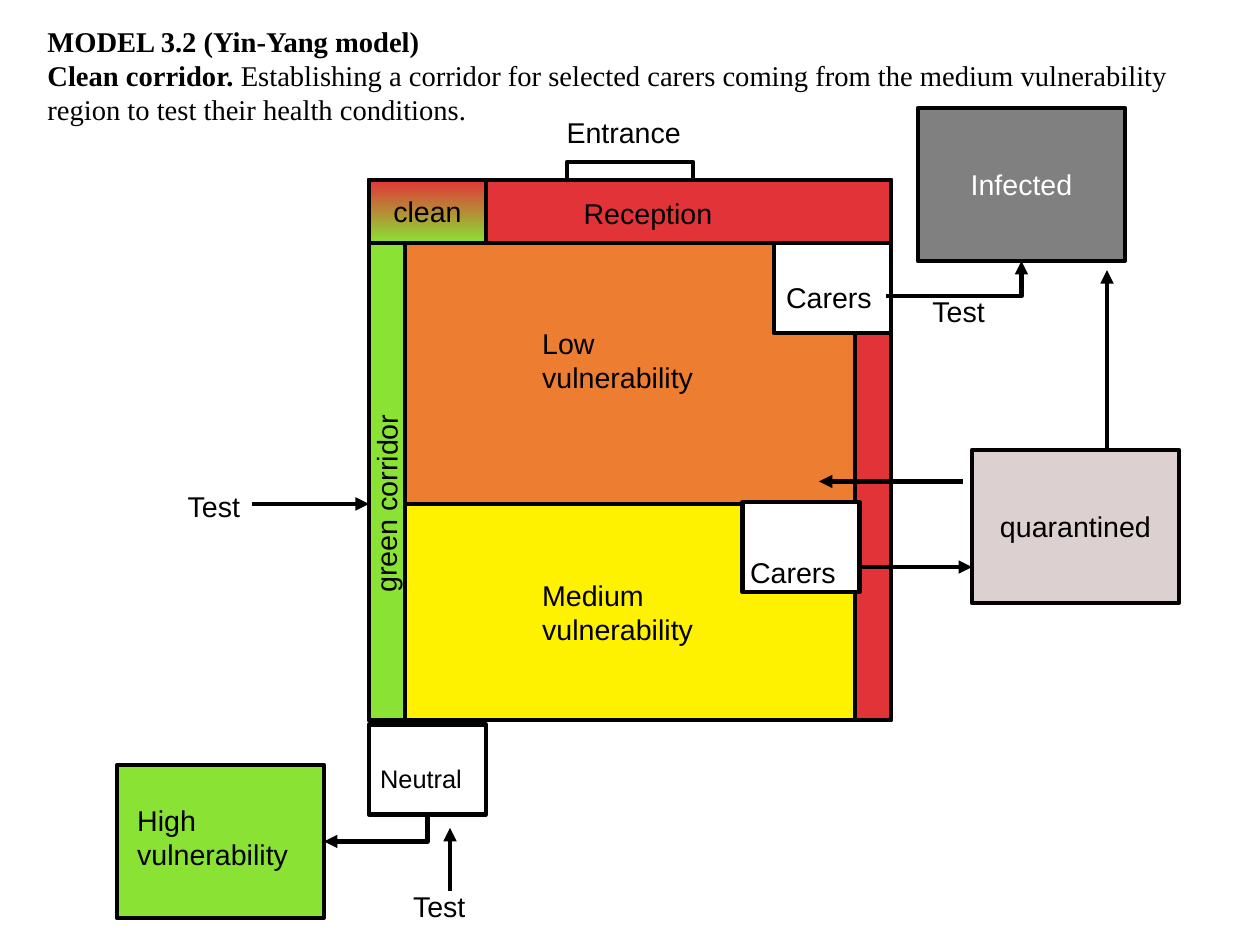
from lxml import etree
from pptx import Presentation
from pptx.dml.color import RGBColor
from pptx.enum.shapes import MSO_CONNECTOR, MSO_SHAPE
from pptx.enum.text import MSO_ANCHOR, MSO_AUTO_SIZE, PP_ALIGN
from pptx.oxml.ns import qn
from pptx.util import Cm, Pt

RECT = MSO_SHAPE.RECTANGLE
STRAIGHT, ELBOW = MSO_CONNECTOR.STRAIGHT, MSO_CONNECTOR.ELBOW
LEFT, CENTER = PP_ALIGN.LEFT, PP_ALIGN.CENTER
TOP, MIDDLE = MSO_ANCHOR.TOP, MSO_ANCHOR.MIDDLE
FIXED, GROW = MSO_AUTO_SIZE.NONE, MSO_AUTO_SIZE.SHAPE_TO_FIT_TEXT

COLORS = {
    "text": "000000", "outline": "020202", "white": "FFFFFF",
    "yellow": "FFF200", "red": "E23438", "green": "8AE234",
    "orange": "ED7D31", "grey": "808080", "pale": "DDD0D0",
}
BUILDING_X, BUILDING_Y, BUILDING_W = 8.2, 4, 11.6
INNER_Y = 5.4
ROOM = (2.6, 2)
ZONE = (4.6, 3.4)
TEST_W, CARERS_W = 1.7, 2.6


def rgb(name):
    return RGBColor.from_string(COLORS[name])


class Diagram:
    """Style of the floor plan and the slide it is drawn on."""
    font, title_font = "Arial", "Times New Roman"
    size, line_width = 18, Pt(2.83)

    def __init__(self, slide):
        self.slide = slide

    def format_run(self, run, font=None, size=None, color="text", bold=False):
        run.font.name = font or self.font
        run.font.size = Pt(size or self.size)
        run.font.color.rgb = rgb(color)
        run.font.bold = bold

    def title(self, heading, lead, body, x, y, w, h):
        title = self.slide.shapes.title
        title.left, title.top, title.width, title.height = map(Cm, (x, y, w, h))
        frame = title.text_frame
        frame.text = heading + "\n" + lead
        frame.paragraphs[1].add_run().text = body
        frame.word_wrap = True
        frame.auto_size = FIXED
        frame.vertical_anchor = TOP
        for paragraph in frame.paragraphs:
            paragraph.alignment = LEFT
            for run in paragraph.runs:
                self.format_run(run, self.title_font, bold=run.text != body)

    def box(self, x, y, w, h, fill=None, text=None, color="text"):
        box = self.slide.shapes.add_shape(RECT, Cm(x), Cm(y), Cm(w), Cm(h))
        box.shadow.inherit = False
        box.line.color.rgb = rgb("outline")
        box.line.width = self.line_width
        if fill is None:
            box.fill.background()
        elif isinstance(fill, tuple):
            box.fill.gradient()
            box.fill.gradient_angle = 90
            for stop, name in zip(box.fill.gradient_stops, fill):
                stop.color.rgb = rgb(name)
        else:
            box.fill.solid()
            box.fill.fore_color.rgb = rgb(fill)
        if text:
            frame = box.text_frame
            frame.text = text
            frame.word_wrap = False
            frame.vertical_anchor = MIDDLE
            frame.paragraphs[0].alignment = CENTER
            self.format_run(frame.paragraphs[0].runs[0], color=color)

    def label(self, text, x, y, w, h=0.97, wrap=False, size=None, rotation=0):
        label = self.slide.shapes.add_textbox(Cm(x), Cm(y), Cm(w), Cm(h))
        label.rotation = rotation
        frame = label.text_frame
        frame.text = text
        frame.word_wrap = wrap
        frame.auto_size = GROW
        for paragraph in frame.paragraphs:
            self.format_run(paragraph.runs[0], size=size)

    def arrow(self, x1, y1, x2, y2, kind=STRAIGHT):
        arrow = self.slide.shapes.add_connector(kind, Cm(x1), Cm(y1), Cm(x2), Cm(y2))
        arrow.line.color.rgb = rgb("text")
        arrow.line.width = self.line_width
        properties = arrow.element.spPr
        line = properties.find(qn("a:ln"))
        etree.SubElement(line, qn("a:tailEnd"), type="triangle")
        etree.SubElement(properties, qn("a:effectLst"))
        return properties

    def elbow(self, x1, y1, x2, y2, down_first=False):
        """One-bend arrow; down_first turns it by a quarter around its centre."""
        if down_first:
            cx, cy = (x1 + x2) / 2, (y1 + y2) / 2
            half_w, half_h = (y2 - y1) / 2, (x1 - x2) / 2
            x1, y1, x2, y2 = cx - half_w, cy - half_h, cx + half_w, cy + half_h
        properties = self.arrow(x1, y1, x2, y2, ELBOW)
        properties.find(qn("a:prstGeom")).set("prst", "bentConnector2")
        if down_first:
            properties.find(qn("a:xfrm")).set("rot", "5400000")


def main():
    prs = Presentation()
    prs.slide_width, prs.slide_height = Cm(28), Cm(21)
    plan = Diagram(prs.slides.add_slide(prs.slide_layouts[5]))

    plan.title("MODEL 3.2 (Yin-Yang model)", "Clean corridor.",
               " Establishing a corridor for selected carers coming from the "
               "medium vulnerability region to test their health conditions.",
               0.8, 0.4, 26.4, 2.85)

    # Building: medium zone, entrance, reception and low zone
    plan.box(BUILDING_X, BUILDING_Y, BUILDING_W, 12, "yellow")
    plan.box(12.6, 3.6, 2.8, 0.8)
    plan.label("Entrance", 12.34, 2.44, 3.1)
    plan.box(BUILDING_X, BUILDING_Y, BUILDING_W, 7.2, "red")
    plan.box(BUILDING_X, INNER_Y, BUILDING_W, 5.8, "orange")
    plan.label("Reception", 12.72, 4.24, 3.6)
    plan.label("Low vulnerability", 11.8, 7.12, 4.8, 1.68, wrap=True)
    plan.label("Medium vulnerability", 11.8, 12.71, 4.6, 2.39, wrap=True)

    # Neutral room and high zone
    plan.box(2.6, 17, *ZONE, "green")
    plan.box(BUILDING_X, 16.1, *ROOM, "white")
    plan.label("Neutral", BUILDING_X, 16.84, 2.4, wrap=True, size=16)
    plan.label("High\nvulnerability", 2.8, 17.71, 5, 3.1, wrap=True)
    plan.elbow(9.5, 18.1, 7.2, 18.7, down_first=True)
    plan.label("Test", 8.93, 19.63, TEST_W)
    plan.arrow(10, 19.8, 10, 18.4)

    # Green corridor
    plan.box(BUILDING_X, INNER_Y, 0.8, 10.6, "green")
    plan.arrow(5.6, 11.2, BUILDING_X, 11.2)
    plan.label("Test", 3.92, 10.75, TEST_W)
    plan.box(BUILDING_X, BUILDING_Y, 2.6, 1.4, ("green", "red"), "clean")
    plan.label("green corridor", 6.2, 10.58, 4.7, rotation=270.3)

    # Infected zone and the upper carers
    plan.box(20.4, 2.4, *ZONE, "grey", "Infected", "white")
    plan.box(17.2, INNER_Y, *ROOM, "white")
    plan.box(19, 7.4, 0.8, 8.6, "red")
    plan.arrow(24.6, 10.6, 24.6, 6)
    plan.label("Carers", 17.22, 6.1, CARERS_W)
    plan.label("Test", 20.47, 6.4, TEST_W)
    plan.elbow(19.7, 6.58, 22.7, 5.8)

    # Quarantined zone and the lower carers
    plan.arrow(18.6, 12.6, 21.6, 12.6)
    plan.box(21.6, 10, *ZONE, "pale", "quarantined")
    plan.arrow(21.4, 10.7, 18.2, 10.7)
    plan.box(16.5, 11.16, *ROOM, "white")
    plan.label("Carers", 16.42, 12.2, CARERS_W)

    prs.save("out.pptx")


if __name__ == "__main__":
    main()
